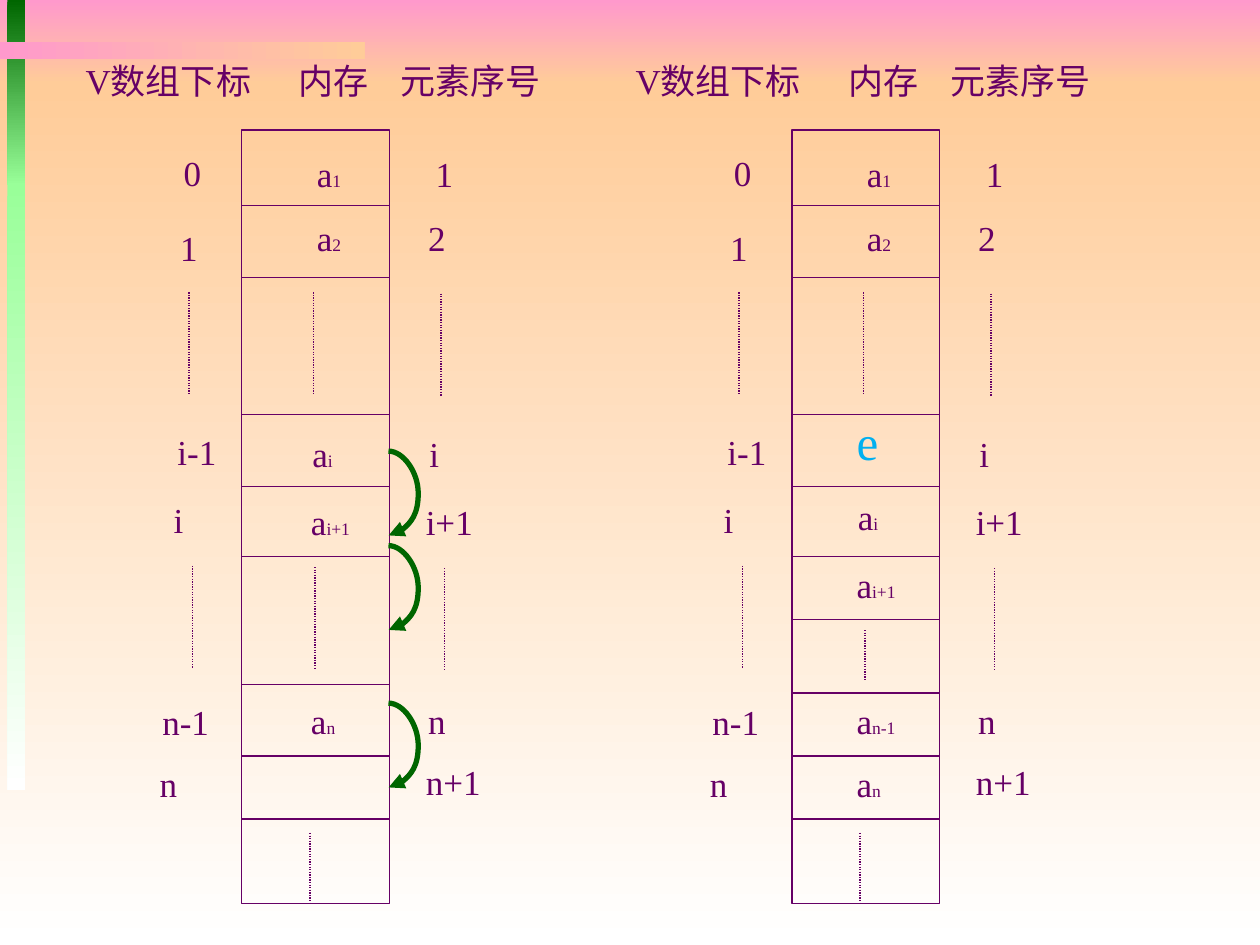
from lxml.etree import SubElement
from pptx import Presentation
from pptx.dml.color import RGBColor
from pptx.enum.dml import MSO_LINE as Dash
from pptx.enum.shapes import MSO_CONNECTOR as Link, MSO_SHAPE as Shape
from pptx.enum.text import MSO_AUTO_SIZE as Fit
from pptx.oxml.ns import qn
from pptx.util import Pt

FONT = "Times New Roman"
INK, GREEN, BLUE = "660066", "006600", "00B0F0"

# Backdrop bands: left, top, width, height, first colour, last colour, angle
BANDS = [
    (0, 0, 720, 48, "FF99CC", "FFCC99", 270),
    (0, 48, 720, 492, "FFCC99", "FFFFFF", 270),
    (4.2, 0, 10, 106, "006600", "99FF99", 270),
    (4.2, 105, 10, 346.5, "99FF99", "FFFFFF", 270),
    (0, 24, 208.4, 10, "FF99CC", "FFCC99", 0),
]

# Headings and index labels shared by both panels: left, top, text
HEADS = [(163.4, 30.2, "内存"), (41.8, 30.2, "V数组下标"), (221.8, 30.2, "元素序号")]
LABELS = [
    (97.9, 82.8, "0"), (95.8, 126, "1"), (94.3, 242.6, "i-1"),
    (92.2, 281.5, "i"), (85.7, 396.7, "n-1"), (84.2, 432, "n"),
    (241.9, 83.5, "1"), (237.6, 120.2, "2"), (238.3, 243.4, "i"),
    (236.2, 282.2, "i+1"), (237.6, 396, "n"), (236.2, 431.3, "n+1"),
]
# Dotted lines shared by both panels: x, top, bottom
DOTS = [
    (108, 167, 225.4), (110.2, 323.3, 381.6), (179.3, 167, 225.4),
    (177.1, 476, 516.2), (252, 167.8, 226.1), (254.2, 324.7, 383),
]

# Before and after the insertion: row borders, cells (left, top, subscript)
PANELS = [
    {"shift": 0,
     "rows": [117.4, 158.4, 236.9, 277.9, 318.2, 391, 432, 468],
     "cells": [(174, 83.5, "1"), (174, 120.2, "2"), (171.4, 243.4, "i"),
               (170.6, 282.2, "i+1"), (170.6, 396, "n")],
     "dots": (180, 324, 382.3)},
    {"shift": 314.3,
     "rows": [117.4, 158.4, 236.9, 277.9, 318.2, 354.2, 396, 432, 468],
     "cells": [(174, 83.5, "1"), (174, 120.2, "2"), (168.8, 279.4, "i"),
               (168.1, 318.2, "i+1"), (168.1, 396, "n-1"), (168.1, 432, "n")],
     "dots": (180, 360, 388.1)},
]
BOX = (138.2, 74.2, 84.5, 442)
MOVES = [401.8, 311.8, 257.8]  # tops of the shift arrows
MOVE_X, DROP, BULGE, STEP = 222, 48.2, 18, 0.12

# Glyph widths in ems; Chinese characters take a whole em
EMS = {"i": 0.28, "+": 0.56, "-": 0.33, "a": 0.44, "e": 0.44, "V": 0.72,
       **dict.fromkeys("012n", 0.5)}


def rgb(code):
    return RGBColor.from_string(code)


def add_band(x, y, w, h, first, last, angle):
    band = slide.shapes.add_shape(Shape.RECTANGLE, Pt(x), Pt(y), Pt(w), Pt(h))
    band.shadow.inherit = False
    band.line.fill.background()
    band.fill.gradient()
    band.fill.gradient_angle = angle
    for stop, code in zip(band.fill.gradient_stops, (first, last)):
        stop.color.rgb = rgb(code)


def add_text(x, y, *runs, color=INK, wrap=False):
    """Place runs of (text, size) in a box that hugs them."""
    wide = sum(EMS.get(c, 1) * size for text, size in runs for c in text)
    tall = 1.2 * runs[0][1]
    box = slide.shapes.add_textbox(Pt(x), Pt(y), Pt(wide + 14.4), Pt(tall + 7.2))
    frame = box.text_frame
    frame.word_wrap = wrap
    frame.auto_size = Fit.SHAPE_TO_FIT_TEXT
    for text, size in runs:
        run = frame.paragraphs[0].add_run()
        run.text = text
        run.font.name = FONT
        run.font.size = Pt(size)
        run.font.color.rgb = rgb(color)


def add_line(x1, y1, x2, y2, kind=Link.STRAIGHT, color=INK, width=0.75):
    line = slide.shapes.add_connector(kind, Pt(x1), Pt(y1), Pt(x2), Pt(y2))
    line.line.color.rgb = rgb(color)
    line.line.width = Pt(width)
    SubElement(line._element.spPr, qn("a:effectLst"))
    return line


def add_dots(x, top, end):
    add_line(x, top, x, end).line.dash_style = Dash.ROUND_DOT


def add_move(y):
    """Curved arrow that bulges right of the memory column."""
    move = add_line(MOVE_X, y, MOVE_X + STEP, y + DROP, Link.CURVE, GREEN, 3)
    guides = move._element.spPr.find(qn("a:prstGeom")).get_or_add_avLst()
    bend = round(BULGE / STEP * 100000)
    SubElement(guides, qn("a:gd"), name="adj1", fmla=f"val {bend}")
    SubElement(move.line._get_or_add_ln(), qn("a:tailEnd"), type="triangle")


def add_panel(shift, rows, cells, dots):
    x, y, w, h = BOX
    x += shift
    box = slide.shapes.add_shape(Shape.RECTANGLE, Pt(x), Pt(y), Pt(w), Pt(h))
    box.shadow.inherit = False
    box.fill.background()
    box.line.color.rgb = rgb(INK)
    box.line.width = Pt(0.75)
    for row in rows:
        add_line(x, row, x + w, row)
    for left, top, sub in cells:
        add_text(left + shift, top, ("a", 20), (sub, 10))
    for left, top, text in HEADS + LABELS:
        add_text(left + shift, top, (text, 20), wrap=text.startswith("V"))
    for left, top, end in DOTS + [dots]:
        add_dots(left + shift, top, end)


prs = Presentation()
prs.slide_width, prs.slide_height = Pt(720), Pt(540)
slide = prs.slides.add_slide(prs.slide_layouts[6])

# Backdrop, the two memory panels, the arrows, the new element
for band in BANDS:
    add_band(*band)
for panel in PANELS:
    add_panel(**panel)
for top in MOVES:
    add_move(top)
add_text(482.4, 231.8, ("e", 28), color=BLUE)

prs.save("out.pptx")
